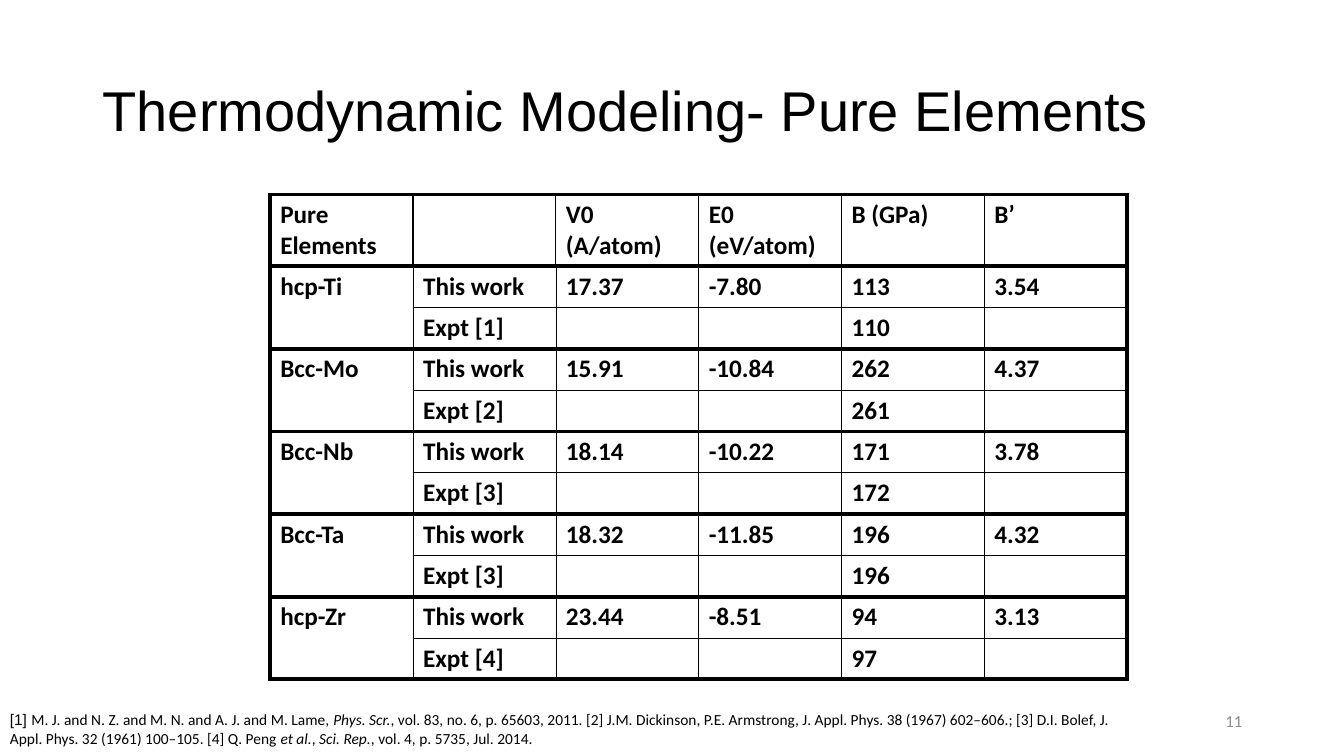
from dataclasses import dataclass

from lxml.etree import SubElement
from pptx import Presentation
from pptx.dml.color import RGBColor
from pptx.enum.text import MSO_ANCHOR as Anchor, PP_ALIGN as Align
from pptx.oxml.ns import qn
from pptx.slide import Slide
from pptx.table import Table, _Cell as Cell
from pptx.text.text import _Paragraph as Paragraph
from pptx.util import Inches, Pt

BLACK = RGBColor(0x00, 0x00, 0x00)
GRAY = RGBColor(0x8C, 0x8C, 0x8C)
THICK, MEDIUM, THIN = 3, 1, 0.5


@dataclass(frozen=True)
class Element:
    name: str
    volume: str
    energy: str
    bulk_modulus: str
    derivative: str
    reference: int
    measured_modulus: str


@dataclass(frozen=True)
class TextStyle:
    size: float
    font: str = "Calibri"
    color: RGBColor = BLACK
    bold: bool = False
    italic: bool = False


@dataclass(frozen=True)
class Box:
    left: float
    top: float
    width: float
    height: float


HEADINGS = ["Pure Elements", "", "V0 (A/atom)", "E0 (eV/atom)", "B (GPa)", "B’"]
ELEMENTS = [
    Element("hcp-Ti", "17.37", "-7.80", "113", "3.54", 1, "110"),
    Element("Bcc-Mo", "15.91", "-10.84", "262", "4.37", 2, "261"),
    Element("Bcc-Nb", "18.14", "-10.22", "171", "3.78", 3, "172"),
    Element("Bcc-Ta", "18.32", "-11.85", "196", "4.32", 3, "196"),
    Element("hcp-Zr", "23.44", "-8.51", "94", "3.13", 4, "97"),
]
TABLE_BOX = Box(2.68, 1.93, 8.5, 4.76)
HEADER_HEIGHT, ROW_HEIGHT = 0.63, 0.41

CELL_STYLE = TextStyle(18, bold=True)
PLAIN = TextStyle(11)
ITALIC = TextStyle(11, italic=True)
REFERENCES = [
    ("[1] ", TextStyle(11, "Arial")),
    ("M. J. and N. Z. and M. N. and A. J. and M. Lame, ", PLAIN),
    ("Phys. Scr.", ITALIC),
    (", vol. 83, no. 6, p. 65603, 2011. [2] J.M. Dickinson, P.E. Armstrong, "
     "J. Appl. Phys. 38 (1967) 602–606.; [3] D.I. Bolef, "
     "J. Appl. Phys. 32 (1961) 100–105. [4] Q. Peng ", PLAIN),
    ("et al.", ITALIC),
    (", ", PLAIN),
    ("Sci. Rep.", ITALIC),
    (", vol. 4, p. 5735, Jul. 2014.", PLAIN),
]


def add_run(paragraph: Paragraph, text: str, style: TextStyle) -> None:
    run = paragraph.add_run()
    run.text = text
    run.font.size = Pt(style.size)
    run.font.name = style.font
    run.font.bold = style.bold
    run.font.italic = style.italic
    run.font.color.rgb = style.color


def add_text(slide: Slide, box: Box, runs: list[tuple[str, TextStyle]],
             anchor: Anchor = Anchor.TOP) -> Paragraph:
    shape = slide.shapes.add_textbox(Inches(box.left), Inches(box.top),
                                     Inches(box.width), Inches(box.height))
    shape.text_frame.word_wrap = True
    shape.text_frame.vertical_anchor = anchor
    paragraph = shape.text_frame.paragraphs[0]
    for text, style in runs:
        add_run(paragraph, text, style)
    return paragraph


def set_borders(cell: Cell, left: float, right: float, top: float, bottom: float) -> None:
    properties = cell._tc.get_or_add_tcPr()
    widths = {"a:lnL": left, "a:lnR": right, "a:lnT": top, "a:lnB": bottom}
    for position, (tag, width) in enumerate(widths.items()):
        line = SubElement(properties, qn(tag), w=str(Pt(width)))
        fill = SubElement(line, qn("a:solidFill"))
        SubElement(fill, qn("a:srgbClr"), val=str(BLACK))
        properties.insert(position, line)


def table_rows() -> list[list[str]]:
    rows = [HEADINGS]
    for element in ELEMENTS:
        rows.append([element.name, "This work", element.volume, element.energy,
                     element.bulk_modulus, element.derivative])
        rows.append(["", f"Expt [{element.reference}]", "", "",
                     element.measured_modulus, ""])
    return rows


def style_cell(table: Table, row: int, column: int) -> None:
    """Thick lines frame the table and each element; thin ones divide the rest."""
    inner = MEDIUM if row == 0 else THIN
    starts_group = row == 0 or row % 2 == 1
    ends_group = row % 2 == 0
    divider = THICK if column == 0 else THIN
    cell = table.cell(row, column)
    cell.fill.background()
    set_borders(cell,
                left=THICK if column == 0 else inner,
                right=THICK if column == len(HEADINGS) - 1 else inner,
                top=THICK if starts_group else divider,
                bottom=THICK if ends_group else divider)


def add_elements_table(slide: Slide) -> None:
    rows = table_rows()
    box = TABLE_BOX
    table = slide.shapes.add_table(
        len(rows), len(HEADINGS), Inches(box.left), Inches(box.top),
        Inches(box.width), Inches(box.height)).table
    table.first_row = False
    table.horz_banding = False
    for column in table.columns:
        column.width = Inches(box.width / len(HEADINGS))
    for row, texts in enumerate(rows):
        table.rows[row].height = Inches(ROW_HEIGHT if row else HEADER_HEIGHT)
        for column, text in enumerate(texts):
            style_cell(table, row, column)
            if text:
                add_run(table.cell(row, column).text_frame.paragraphs[0], text, CELL_STYLE)
    for row in range(1, len(rows), 2):
        table.cell(row, 0).merge(table.cell(row + 1, 0))


def add_title(slide: Slide) -> None:
    title = slide.shapes.title
    title.left, title.top = Inches(0.92), Inches(0.4)
    title.width, title.height = Inches(11.5), Inches(1.45)
    title.text_frame.vertical_anchor = Anchor.MIDDLE


def main() -> None:
    presentation = Presentation()
    presentation.slide_width = Inches(13.33)
    presentation.slide_height = Inches(7.5)
    slide = presentation.slides.add_slide(presentation.slide_layouts[6])

    add_elements_table(slide)
    add_text(slide, Box(0, 7, 11.34, 0.47), REFERENCES)
    number = add_text(slide, Box(9.42, 6.95, 3, 0.4),
                      [("11", TextStyle(12, color=GRAY))], Anchor.MIDDLE)
    number.alignment = Align.RIGHT
    title = add_text(slide, Box(0.92, 0.4, 11.5, 1.45),
                     [("Thermodynamic Modeling- Pure Elements", TextStyle(40, "Arial"))],
                     Anchor.MIDDLE)
    title.line_spacing = 0.9
    presentation.save("out.pptx")


if __name__ == "__main__":
    main()
